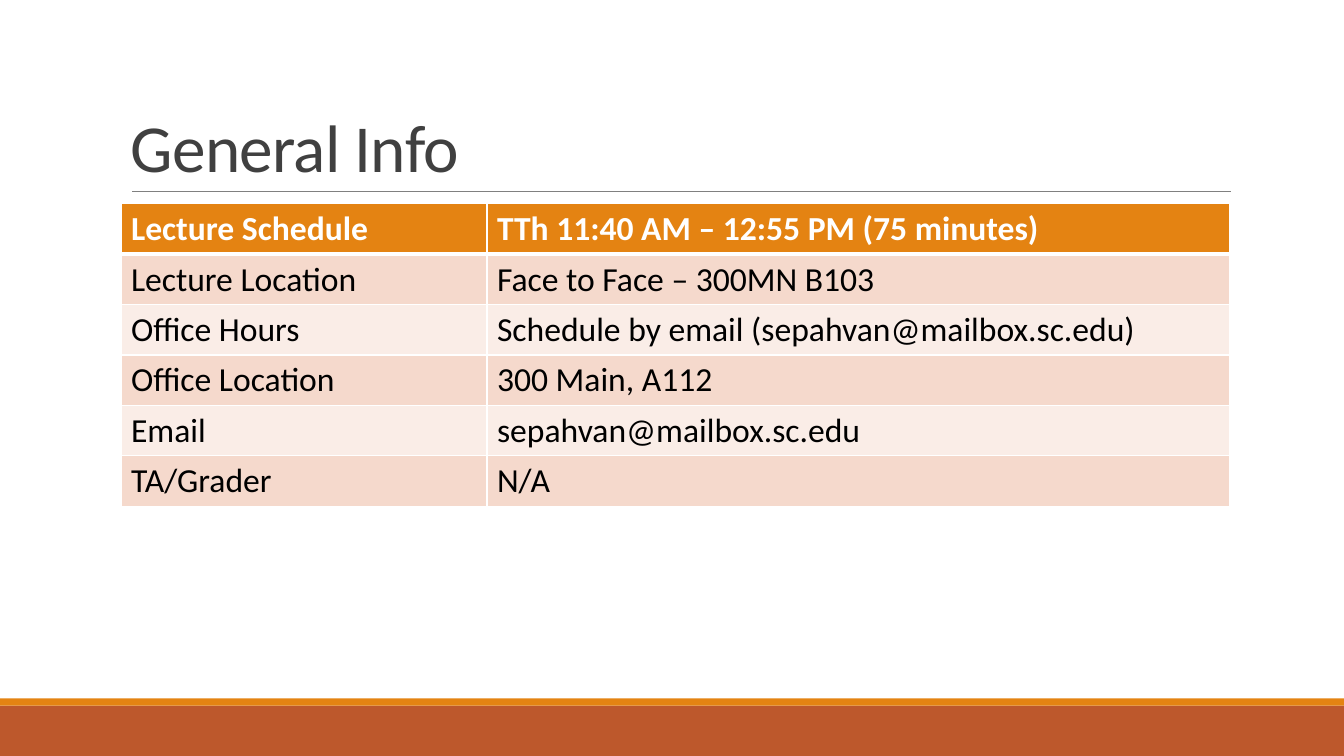
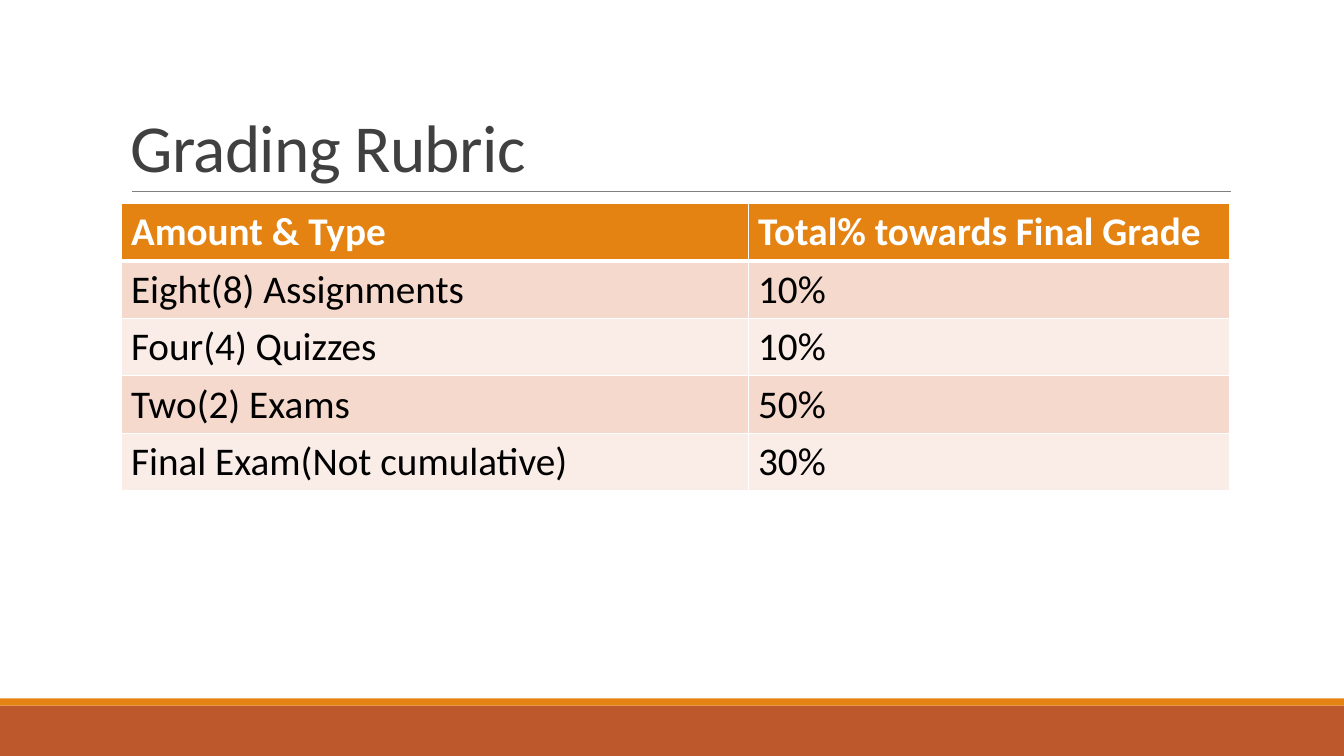
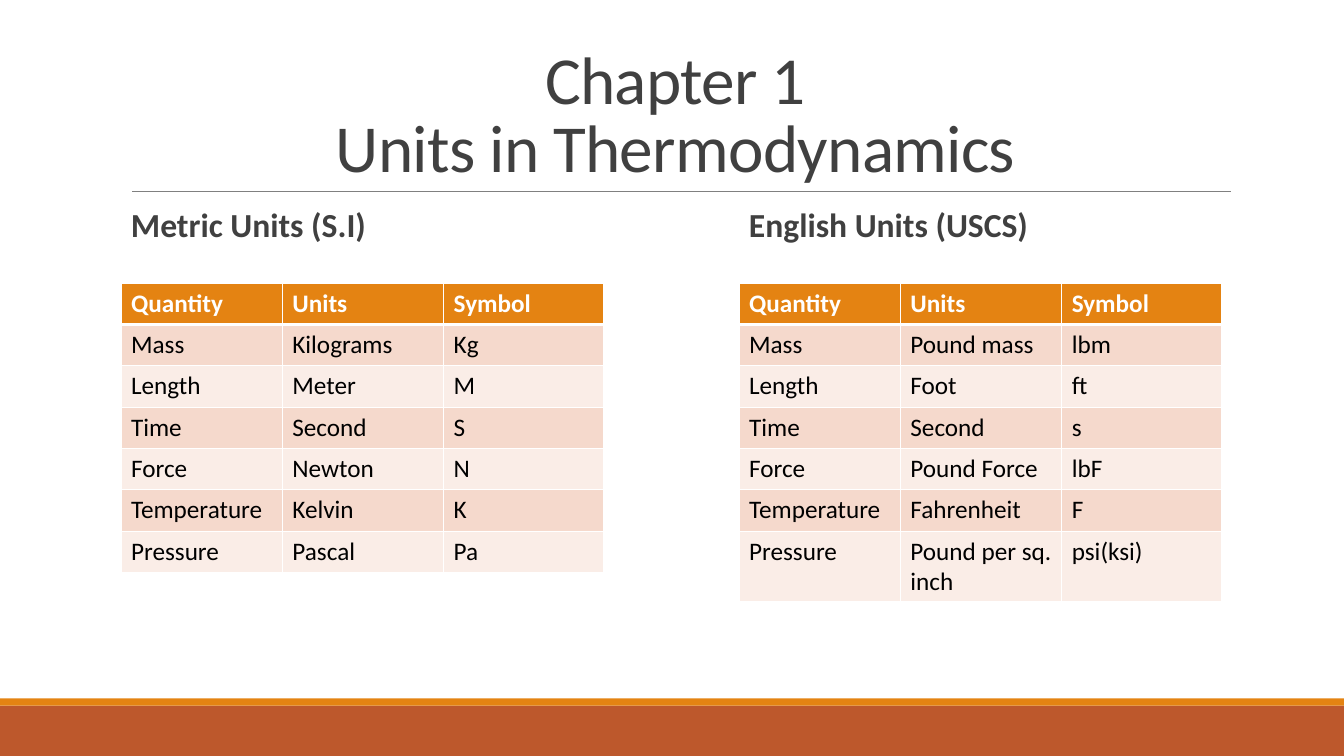
from dataclasses import dataclass

from lxml import etree
from pptx import Presentation
from pptx.dml.color import RGBColor
from pptx.enum.shapes import MSO_CONNECTOR, MSO_SHAPE
from pptx.enum.text import MSO_ANCHOR, PP_ALIGN
from pptx.oxml.ns import qn
from pptx.slide import Slide
from pptx.table import _Cell
from pptx.text.text import _Paragraph
from pptx.util import Inches, Pt

RECTANGLE = MSO_SHAPE.RECTANGLE
STRAIGHT = MSO_CONNECTOR.STRAIGHT
BOTTOM = MSO_ANCHOR.BOTTOM
LEFT, CENTER = PP_ALIGN.LEFT, PP_ALIGN.CENTER

FONT = "Calibri"
ORANGE, RUST, GRAY, INK = "E48312", "BD582C", "808080", "404040"
WHITE, BLACK = "FFFFFF", "000000"
ROW_TINTS = ("F5D9CC", "FAEDE7")

SLIDE_WIDTH, SLIDE_HEIGHT = 13.33, 7.5
CONTENT_LEFT, CONTENT_TOP, CONTENT_WIDTH = 1.2, 2.02, 11
UNITS_TOP = 2.81
UNIT_COLUMNS = (1.6, 1.6, 1.59)


@dataclass(frozen=True)
class Band:
    top: float
    height: float
    color: str


@dataclass(frozen=True)
class Grid:
    left: float
    top: float
    columns: tuple[float, ...]
    row_height: float
    size: int
    rows: tuple[tuple[str, ...], ...]


@dataclass(frozen=True)
class UnitSystem:
    heading: str
    left: float
    rows: tuple[tuple[str, ...], ...]


BANDS = (Band(7, 0.5, RUST), Band(6.93, 0.07, ORANGE))

GENERAL_INFO = Grid(CONTENT_LEFT, CONTENT_TOP, (3.63, 7.37), 0.5, 24, (
    ("Lecture Schedule", "TTh 11:40 AM – 12:55 PM (75 minutes)"),
    ("Lecture Location", "Face to Face – 300MN B103"),
    ("Office Hours", "Schedule by email (sepahvan@mailbox.sc.edu)"),
    ("Office Location", "300 Main, A112"),
    ("Email", "sepahvan@mailbox.sc.edu"),
    ("TA/Grader", "N/A"),
))

GRADING = Grid(CONTENT_LEFT, CONTENT_TOP, (6.22, 4.78), 0.57, 28, (
    ("Amount & Type", "Total% towards Final Grade"),
    ("Eight(8) Assignments", "10%"),
    ("Four(4) Quizzes", "10%"),
    ("Two(2) Exams", "50%"),
    ("Final Exam(Not cumulative)", "30%"),
))

UNIT_HEADER = ("Quantity", "Units", "Symbol")
UNIT_SYSTEMS = (
    UnitSystem("Metric Units (S.I)", CONTENT_LEFT, (
        ("Mass", "Kilograms", "Kg"),
        ("Length", "Meter", "M"),
        ("Time", "Second", "S"),
        ("Force", "Newton", "N"),
        ("Temperature", "Kelvin", "K"),
        ("Pressure", "Pascal", "Pa"),
    )),
    UnitSystem("English Units (USCS)", 7.33, (
        ("Mass", "Pound mass", "lbm"),
        ("Length", "Foot", "ft"),
        ("Time", "Second", "s"),
        ("Force", "Pound Force", "lbF"),
        ("Temperature", "Fahrenheit", "F"),
        ("Pressure", "Pound per sq. inch", "psi(ksi)"),
    )),
)


def rgb(color: str) -> RGBColor:
    return RGBColor.from_string(color)


def add_run(paragraph: _Paragraph, text: str, size: int, color: str,
            bold: bool = False, tracking: float = 0) -> None:
    run = paragraph.add_run()
    run.text = text
    run.font.name = FONT
    run.font.size = Pt(size)
    run.font.bold = bold
    run.font.color.rgb = rgb(color)
    if tracking:
        run.font._element.set("spc", str(round(tracking * 100)))


def add_frame(slide: Slide) -> None:
    """Draw the footer bands and the rule under the title."""
    for band in BANDS:
        bar = slide.shapes.add_shape(RECTANGLE, 0, Inches(band.top),
                                     Inches(SLIDE_WIDTH), Inches(band.height))
        bar.shadow.inherit = False
        bar.fill.solid()
        bar.fill.fore_color.rgb = rgb(band.color)
        bar.line.fill.background()

    rule = slide.shapes.add_connector(STRAIGHT, Inches(1.31), Inches(1.9),
                                      Inches(12.21), Inches(1.9))
    rule.line.color.rgb = rgb(GRAY)
    rule.line.width = Pt(0.5)
    etree.SubElement(rule._element.spPr, qn("a:effectLst"))


def add_title(slide: Slide, lines: tuple[str, ...], align: PP_ALIGN) -> None:
    box = slide.shapes.add_textbox(Inches(CONTENT_LEFT), Inches(0.31),
                                   Inches(CONTENT_WIDTH), Inches(1.59))
    frame = box.text_frame
    frame.word_wrap = True
    frame.vertical_anchor = BOTTOM
    title = frame.paragraphs[0]
    title.alignment = align
    title.line_spacing = 0.85
    for index, line in enumerate(lines):
        if index:
            title.add_line_break()
        add_run(title, line, 48, INK, tracking=-0.5)


def add_heading(slide: Slide, text: str, left: float) -> None:
    box = slide.shapes.add_textbox(Inches(left), Inches(CONTENT_TOP),
                                   Inches(3.45), Inches(0.78))
    box.text_frame.word_wrap = True
    heading = box.text_frame.paragraphs[0]
    heading.line_spacing = 0.9
    add_run(heading, text, 24, INK, bold=True)


def set_borders(cell: _Cell, top: float, bottom: float) -> None:
    properties = cell._tc.get_or_add_tcPr()
    for side, width in (("L", 1), ("R", 1), ("T", top), ("B", bottom)):
        border = etree.SubElement(properties, qn(f"a:ln{side}"), w=str(Pt(width)))
        fill = etree.SubElement(border, qn("a:solidFill"))
        etree.SubElement(fill, qn("a:srgbClr"), val=WHITE)


def add_grid(slide: Slide, grid: Grid) -> None:
    table = slide.shapes.add_table(
        len(grid.rows), len(grid.columns), Inches(grid.left), Inches(grid.top),
        Inches(sum(grid.columns)), Inches(grid.row_height * len(grid.rows))).table
    for column, width in zip(table.columns, grid.columns):
        column.width = Inches(width)
    for row_index, texts in enumerate(grid.rows):
        table.rows[row_index].height = Inches(grid.row_height)
        header = row_index == 0
        for column_index, text in enumerate(texts):
            cell = table.cell(row_index, column_index)
            # Borders come before the fill in the cell's XML
            set_borders(cell, 3 if row_index == 1 else 1, 3 if header else 1)
            cell.fill.solid()
            cell.fill.fore_color.rgb = rgb(
                ORANGE if header else ROW_TINTS[(row_index - 1) % 2])
            add_run(cell.text_frame.paragraphs[0], text, grid.size,
                    WHITE if header else BLACK, bold=header)


def main() -> None:
    deck = Presentation()
    deck.slide_width = Inches(SLIDE_WIDTH)
    deck.slide_height = Inches(SLIDE_HEIGHT)

    def new_slide(*title: str, align: PP_ALIGN = LEFT) -> Slide:
        slide = deck.slides.add_slide(deck.slide_layouts[6])
        add_frame(slide)
        add_title(slide, title, align)
        return slide

    # Course information and grading
    add_grid(new_slide("General Info"), GENERAL_INFO)
    add_grid(new_slide("Grading Rubric"), GRADING)

    # Units, one table per system
    units = new_slide("Chapter 1", "Units in Thermodynamics", align=CENTER)
    for system in UNIT_SYSTEMS:
        add_heading(units, system.heading, system.left)
        add_grid(units, Grid(system.left, UNITS_TOP, UNIT_COLUMNS, 0.41, 18,
                             (UNIT_HEADER, *system.rows)))

    deck.save("out.pptx")


if __name__ == "__main__":
    main()
